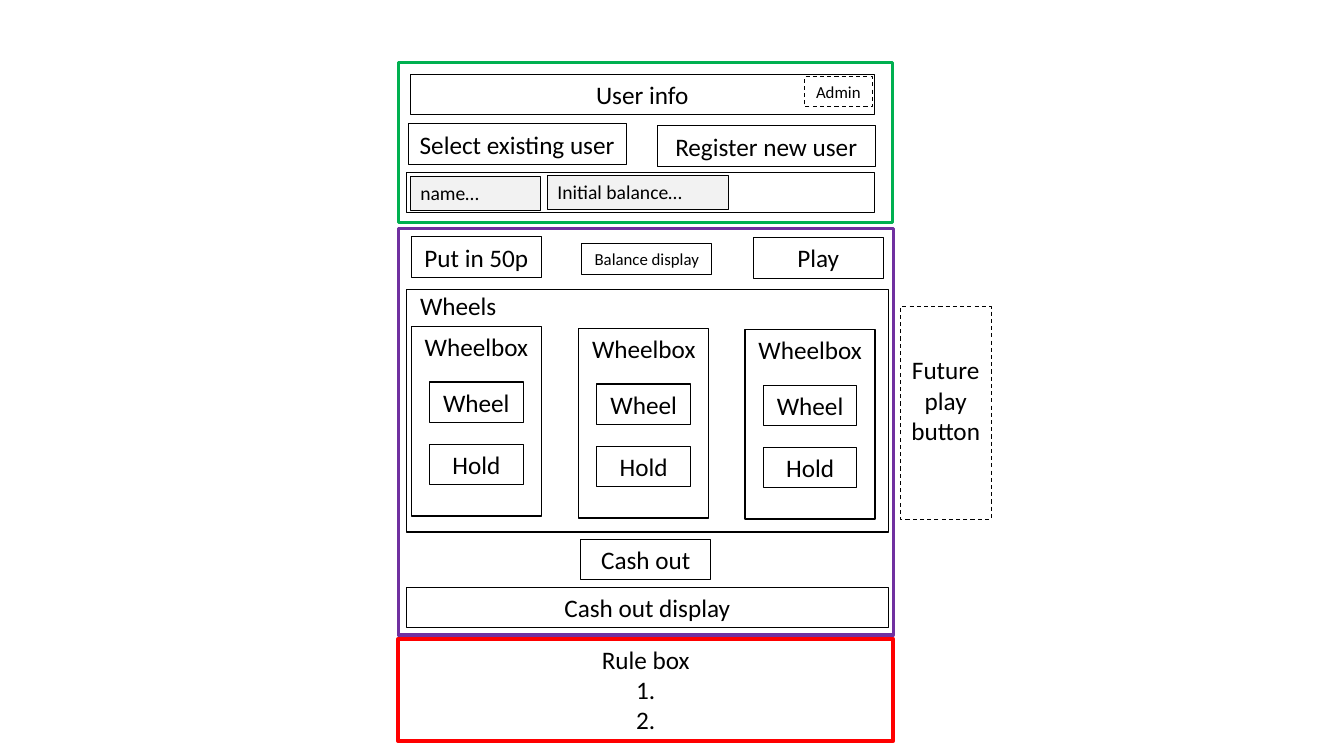
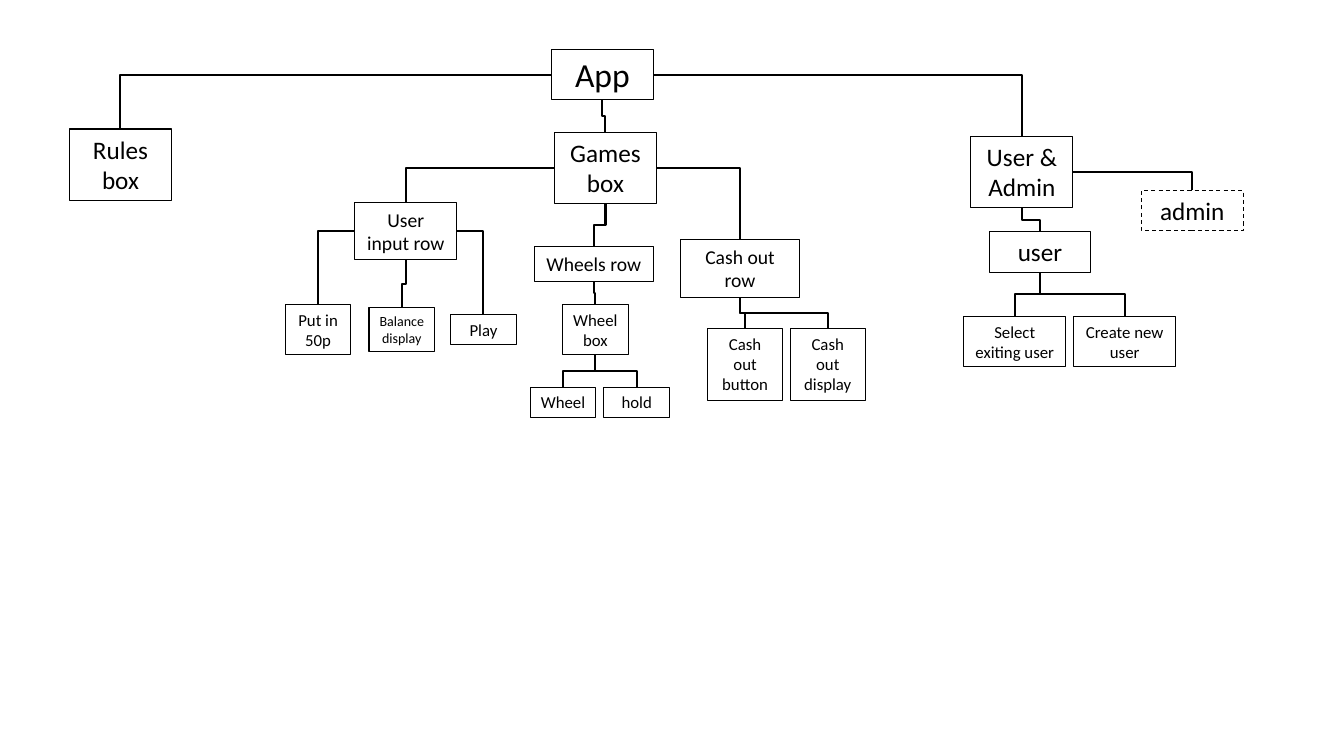
from dataclasses import dataclass

from lxml.etree import SubElement
from pptx import Presentation
from pptx.dml.color import RGBColor
from pptx.enum.dml import MSO_LINE
from pptx.enum.shapes import MSO_CONNECTOR, MSO_SHAPE
from pptx.enum.text import MSO_ANCHOR, MSO_AUTO_SIZE, PP_ALIGN
from pptx.oxml.ns import qn
from pptx.shapes.autoshape import Shape
from pptx.shapes.connector import Connector
from pptx.slide import Slide
from pptx.util import Inches, Pt

BLACK = "000000"
GREEN = "00B050"
PURPLE = "7030A0"
RED = "FF0000"
FIELD_GREY = "F2F2F2"
LINK_WIDTH = 1.5
TOP, LEFT, BOTTOM, RIGHT = range(4)

FRAME_FORMAT = {
    "word_wrap": True,
    "auto_size": MSO_AUTO_SIZE.SHAPE_TO_FIT_TEXT,
    "vertical_anchor": MSO_ANCHOR.TOP,
}


@dataclass(frozen=True)
class Box:
    """A rectangle, in inches, with optional text; no line makes it a text box."""

    text: str
    left: float
    top: float
    width: float
    height: float = 0.4
    size: int = 18
    line: float = 0.75
    color: str = BLACK
    fill: str = ""
    dashed: bool = False
    align: PP_ALIGN = PP_ALIGN.CENTER


@dataclass(frozen=True)
class Node:
    """A component in the tree and the way it hangs from its parent."""

    box: Box
    parent: str = ""
    from_side: bool = False


def rgb(value: str) -> RGBColor:
    """Turn a hex string into a colour."""
    return RGBColor.from_string(value)


def write_text(shape: Shape, box: Box) -> None:
    """Put the text of a box into its shape, one paragraph a line."""
    frame = shape.text_frame
    frame.text = box.text
    for name, value in FRAME_FORMAT.items():
        setattr(frame, name, value)
    font_format = {"name": "Calibri", "size": Pt(box.size)}
    for paragraph in frame.paragraphs:
        paragraph.alignment = box.align
        for run in paragraph.runs:
            run.font.color.rgb = rgb(BLACK)
            for name, value in font_format.items():
                setattr(run.font, name, value)


def draw_box(container: Slide, box: Box) -> Shape:
    """Draw a box on a slide or in a group."""
    place = [Inches(n) for n in (box.left, box.top, box.width, box.height)]
    if box.line:
        shape = container.shapes.add_shape(MSO_SHAPE.RECTANGLE, *place)
        shape.shadow.inherit = False
        shape.line.color.rgb = rgb(box.color)
        shape.line.width = Pt(box.line)
        if box.dashed:
            shape.line.dash_style = MSO_LINE.DASH
        if box.fill:
            shape.fill.solid()
            shape.fill.fore_color.rgb = rgb(box.fill)
        else:
            shape.fill.background()
    else:
        shape = container.shapes.add_textbox(*place)
    if box.text:
        write_text(shape, box)
    return shape


def turn_downward(connector: Connector) -> None:
    """Turn a three-part elbow so that it leaves and arrives vertically."""
    start_x, start_y = connector.begin_x, connector.begin_y
    across, down = connector.end_x - start_x, connector.end_y - start_y
    place = {
        "left": start_x + (across - down) // 2,
        "top": start_y + (down - abs(across)) // 2,
        "width": down,
        "height": abs(across),
    }
    for name, value in place.items():
        setattr(connector, name, value)
    transform = connector.element.spPr.find(qn("a:xfrm"))
    transform.set("rot", "16200000" if across > 0 else "5400000")
    transform.set("flipH", "1" if across > 0 else "0")
    transform.set("flipV", "0")


def link(slide: Slide, parent: Shape, child: Shape, from_side: bool) -> None:
    """Join a parent to the top of a child with an elbow connector."""
    parent_x = parent.left + parent.width // 2
    child_x = child.left + child.width // 2
    connector = slide.shapes.add_connector(
        MSO_CONNECTOR.ELBOW, parent_x, parent.top, child_x, child.top)
    side = RIGHT if child_x > parent_x else LEFT
    connector.begin_connect(parent, side if from_side else BOTTOM)
    connector.end_connect(child, TOP)
    if from_side:
        geometry = connector.element.spPr.find(qn("a:prstGeom"))
        geometry.set("prst", "bentConnector2")
    else:
        turn_downward(connector)
    connector.line.color.rgb = rgb(BLACK)
    connector.line.width = Pt(LINK_WIDTH)
    SubElement(connector.element.spPr, qn("a:effectLst"))


def draw_wheelbox(slide: Slide, left: float, top: float) -> None:
    """Draw one wheel with its hold button as a group."""
    group = slide.shapes.add_group_shape()
    for box in (
        Box("Wheelbox", left, top, 1.29, line=0),
        Box("Wheel", left + 0.18, top + 0.55, 0.93),
        Box("Hold", left + 0.18, top + 1.17, 0.93),
        Box("", left, top, 1.29, 1.88, line=1),
    ):
        draw_box(group, box)


LAYOUT_BOXES = (
    Box("Put in 50p", 4.08, 2.35, 1.29),
    Box("Balance display", 5.77, 2.42, 1.29, 0.3, 12),
    Box("Play", 7.47, 2.36, 1.29),
    Box("User info", 4.07, 0.74, 4.6),
    Box("Rule box\n1.\n2.", 3.95, 6.34, 4.91, 1.01, line=3, color=RED),
    Box("", 4.03, 2.87, 4.78, 2.41, line=1),
    Box("Wheels", 3.9, 2.83, 1.29, line=0),
    Box("Cash out", 5.76, 5.35, 1.29),
    Box("Cash out display", 4.03, 5.83, 4.78),
    Box("Select existing user", 4.05, 1.23, 2.16),
    Box("Register new user", 6.52, 1.25, 2.16),
    Box("", 4.03, 1.71, 4.64),
    Box("Initial balance…", 5.43, 1.74, 1.8, 0.34, 14,
        fill=FIELD_GREY, align=PP_ALIGN.LEFT),
    Box("name…", 4.07, 1.75, 1.29, 0.34, 14,
        fill=FIELD_GREY, align=PP_ALIGN.LEFT),
    Box("Admin", 7.98, 0.76, 0.67, 0.3, 12, dashed=True),
    Box("", 8.93, 3.04, 0.9, 2.11, dashed=True),
    Box("Future play button", 8.78, 3.47, 1.2, 1.01, line=0),
    Box("", 3.95, 0.62, 4.9, 1.59, line=2.25, color=GREEN),
    Box("", 3.95, 2.27, 4.91, 4.03, line=2.25, color=PURPLE),
)
WHEELBOX_CORNERS = ((4.08, 3.24), (5.74, 3.26), (7.39, 3.27))

COMPONENTS = (
    Node(Box("App", 5.47, 0.49, 1.01, 0.5, 24)),
    Node(Box("Rules box", 0.69, 1.28, 1.01, 0.71), "App", True),
    Node(Box("Games box", 5.5, 1.31, 1.01, 0.71), "App"),
    Node(Box("User & Admin", 9.63, 1.35, 1.01, 0.71), "App", True),
    Node(Box("admin", 11.32, 1.89, 1.01, dashed=True), "User & Admin", True),
    Node(Box("user", 9.81, 2.3, 1.01), "User & Admin"),
    Node(Box("Select exiting user", 9.56, 3.14, 1.01, 0.5, 12), "user"),
    Node(Box("Create new user", 10.65, 3.14, 1.01, 0.5, 12), "user"),
    Node(Box("User input row", 3.52, 2.01, 1.01, 0.57, 14), "Games box", True),
    Node(Box("Wheels row", 5.3, 2.45, 1.18, 0.34, 14), "Games box"),
    Node(Box("Cash out row", 6.75, 2.38, 1.18, 0.57, 14), "Games box", True),
    Node(Box("Put in 50p", 2.83, 3.02, 0.65, 0.5, 12), "User input row", True),
    Node(Box("Balance display", 3.66, 3.05, 0.65, 0.44, 10), "User input row"),
    Node(Box("Play", 4.47, 3.12, 0.65, 0.3, 12), "User input row", True),
    Node(Box("Wheel box", 5.58, 3.02, 0.65, 0.5, 12), "Wheels row"),
    Node(Box("Wheel", 5.26, 3.84, 0.65, 0.3, 12), "Wheel box"),
    Node(Box("hold", 5.99, 3.84, 0.65, 0.3, 12), "Wheel box"),
    Node(Box("Cash out button", 7.02, 3.26, 0.74, 0.71, 12), "Cash out row"),
    Node(Box("Cash out display", 7.84, 3.26, 0.74, 0.71, 12), "Cash out row"),
)


def build_layout_slide(slide: Slide) -> None:
    """Draw the wireframe of the game page."""
    for left, top in WHEELBOX_CORNERS:
        draw_wheelbox(slide, left, top)
    for box in LAYOUT_BOXES:
        draw_box(slide, box)


def build_component_slide(slide: Slide) -> None:
    """Draw the component tree, each parent before its children."""
    shapes = {}
    for node in COMPONENTS:
        shape = draw_box(slide, node.box)
        shapes[node.box.text] = shape
        if node.parent:
            link(slide, shapes[node.parent], shape, node.from_side)


def main() -> None:
    """Build and save the presentation."""
    presentation = Presentation()
    presentation.slide_width = Inches(13.33)
    presentation.slide_height = Inches(7.5)
    blank = presentation.slide_layouts[6]
    for build in (build_layout_slide, build_component_slide):
        build(presentation.slides.add_slide(blank))
    presentation.save("out.pptx")


main()
